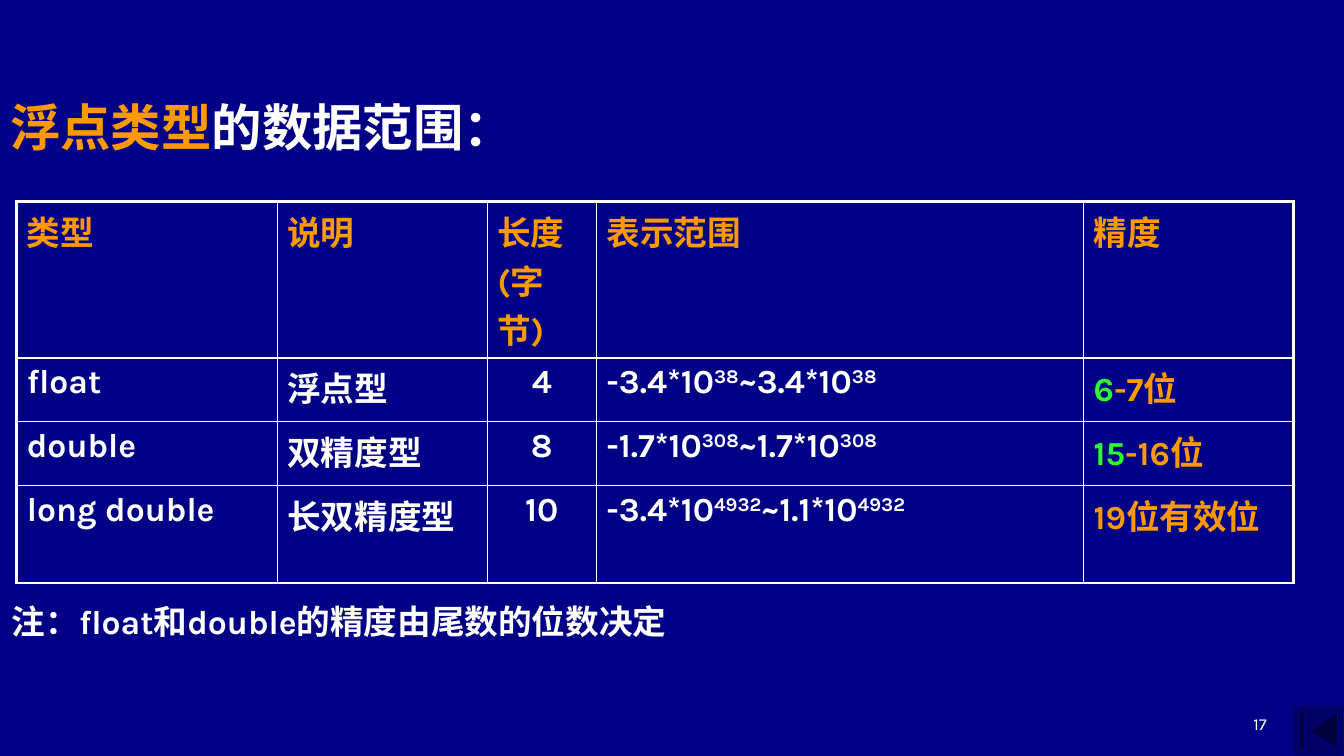
from dataclasses import dataclass

from lxml import etree
from pptx import Presentation
from pptx.dml.color import RGBColor
from pptx.enum.shapes import MSO_SHAPE
from pptx.enum.text import MSO_ANCHOR, MSO_AUTO_SIZE, PP_ALIGN
from pptx.oxml.ns import qn
from pptx.util import Inches, Pt

LEFT, CENTER, RIGHT = PP_ALIGN.LEFT, PP_ALIGN.CENTER, PP_ALIGN.RIGHT
TOP, BOTTOM = MSO_ANCHOR.TOP, MSO_ANCHOR.BOTTOM
NO_FIT = MSO_AUTO_SIZE.NONE
TO_START = MSO_SHAPE.ACTION_BUTTON_BEGINNING

# The slide is a grid of 32 columns by 18 rows
GRID_COLUMNS, GRID_ROWS = 32, 18


@dataclass(frozen=True)
class Theme:
    font: str = "Karla"
    page: str = "000086"
    button: str = "000065"
    white: str = "FFFFFF"
    orange: str = "FF9900"
    green: str = "2CFF2C"
    title_size: float = 36
    body_size: float = 24
    number_size: float = 12
    frame_line: float = 2.25
    inner_line: float = 1
    button_line: float = 0.75


class SlideBuilder:
    def __init__(self, deck, theme):
        self.theme = theme
        self.column = deck.slide_width / GRID_COLUMNS
        self.row = deck.slide_height / GRID_ROWS
        self.page = deck.slides.add_slide(deck.slide_layouts[5])
        self.paint(self.page.background.fill, theme.page)

    def paint(self, fill, color):
        fill.solid()
        fill.fore_color.rgb = RGBColor.from_string(color)

    def area(self, left, top, width, height):
        return (round(left * self.column), round(top * self.row),
                round(width * self.column), round(height * self.row))

    def add_spans(self, frame, spans, size, align=LEFT, bold=True):
        """Fill a text frame with spans of (text, colour, raised)."""
        para = frame.paragraphs[0]
        para.alignment = align
        look = {"name": self.theme.font, "size": Pt(size), "bold": bold}
        for text, color, raised in spans:
            span = para.add_run()
            span.text = text
            for name, value in look.items():
                setattr(span.font, name, value)
            span.font.color.rgb = RGBColor.from_string(color)
            if raised:
                span._r.get_or_add_rPr().set("baseline", "30000")

    def format_frame(self, frame, anchor):
        settings = {"word_wrap": True, "auto_size": NO_FIT, "vertical_anchor": anchor}
        for name, value in settings.items():
            setattr(frame, name, value)

    def title(self, area, spans):
        box = self.page.shapes.title
        box.left, box.top, box.width, box.height = self.area(*area)
        self.format_frame(box.text_frame, TOP)
        self.add_spans(box.text_frame, spans, self.theme.title_size)

    def text(self, area, spans, size, align=LEFT, anchor=TOP, bold=True):
        box = self.page.shapes.add_textbox(*self.area(*area))
        self.format_frame(box.text_frame, anchor)
        self.add_spans(box.text_frame, spans, size, align, bold)

    def button(self, area):
        shape = self.page.shapes.add_shape(TO_START, *self.area(*area))
        shape.shadow.inherit = False
        self.paint(shape.fill, self.theme.button)
        self.paint(shape.line.fill, self.theme.page)
        shape.line.width = Pt(self.theme.button_line)

    def border(self, cell, outer_edges):
        """Draw the four cell edges, heavier on the table's frame."""
        properties = cell._tc.get_or_add_tcPr()
        for edge, outer in outer_edges.items():
            width = self.theme.frame_line if outer else self.theme.inner_line
            line = etree.SubElement(properties, qn(f"a:ln{edge}"), w=str(int(Pt(width))))
            fill = etree.SubElement(line, qn("a:solidFill"))
            etree.SubElement(fill, qn("a:srgbClr"), val=self.theme.white)

    def table(self, left, top, widths, heights, rows, aligns):
        area = self.area(left, top, sum(widths), sum(heights))
        table = self.page.shapes.add_table(len(rows), len(widths), *area).table
        table.first_row = table.horz_banding = False
        for column, width in zip(table.columns, widths):
            column.width = round(width * self.column)
        for row, height in zip(table.rows, heights):
            row.height = round(height * self.row)
        for r, row in enumerate(rows):
            for c, spans in enumerate(row):
                cell = table.cell(r, c)
                self.border(cell, {"L": c == 0, "R": c == len(widths) - 1,
                                   "T": r == 0, "B": r == len(rows) - 1})
                cell.fill.background()
                align = aligns[c] if r else LEFT
                self.add_spans(cell.text_frame, spans, self.theme.body_size, align)


def plain(text, color):
    return [(text, color, False)]


def power_range(low, low_power, high, high_power, color):
    return [(f"{low}*10", color, False), (low_power, color, True),
            (f"~{high}*10", color, False), (high_power, color, True)]


def main():
    deck = Presentation()
    deck.slide_width, deck.slide_height = Inches(13.33), Inches(7.5)
    theme = Theme()
    white, orange, green = theme.white, theme.orange, theme.green
    slide = SlideBuilder(deck, theme)

    # Corner button and page number
    slide.button((30.8, 16.8, 1.2, 1.2))
    slide.text((22.94, 16.4, 7.46, 1.2), plain("17", white), theme.number_size,
               RIGHT, BOTTOM, bold=False)

    # Table of floating-point types
    headings = ["类型", "说明", "长度(字节)", "表示范围", "精度"]
    types = [
        ("float", "浮点型", "4", ("-3.4", "38", "3.4", "38"), ("6", "-7位")),
        ("double", "双精度型", "8", ("-1.7", "308", "1.7", "308"), ("15", "-16位")),
        ("long double", "长双精度型", "10", ("-3.4", "4932", "1.1", "4932"),
         ("", "19位有效位")),
    ]
    rows = [[plain(heading, orange) for heading in headings]]
    for name, meaning, length, limits, (least, digits) in types:
        precision = plain(least, green) if least else []
        rows.append([plain(name, white), plain(meaning, white), plain(length, white),
                     power_range(*limits, white), precision + plain(digits, orange)])
    slide.table(0.4, 4.8, [6.2, 5, 2.6, 11.6, 5], [2.16, 1.52, 1.52, 2.32], rows,
                [LEFT, LEFT, CENTER, LEFT, LEFT])

    # Title and note
    slide.title((0, 2.16, 13, 1.7),
                plain("浮点类型", orange) + plain("的数据范围：", white))
    slide.text((0.05, 14.2, 20.57, 1.22),
               plain("注：float和double的精度由尾数的位数决定", white), theme.body_size)

    deck.save("out.pptx")


if __name__ == "__main__":
    main()
